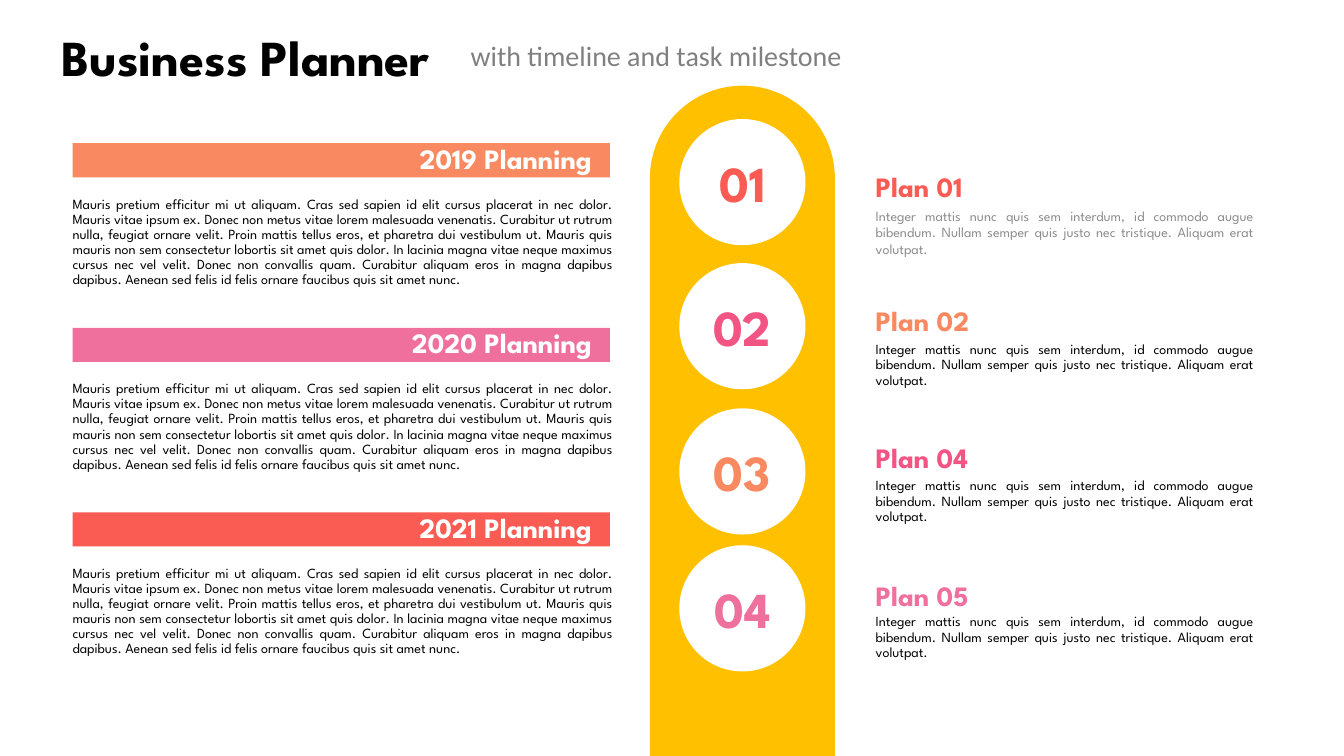
from pptx import Presentation
from pptx.dml.color import RGBColor
from pptx.enum.shapes import MSO_SHAPE
from pptx.enum.text import MSO_ANCHOR, PP_ALIGN
from pptx.util import Cm, Pt

BLACK = RGBColor(0x00, 0x00, 0x00)
WHITE = RGBColor(0xFF, 0xFF, 0xFF)
GRAY = RGBColor(0x80, 0x80, 0x80)
SILVER = RGBColor(0x8C, 0x8C, 0x8C)
GOLD = RGBColor(0xFF, 0xC0, 0x00)
RED = RGBColor(0xFA, 0x5B, 0x52)
CORAL = RGBColor(0xF8, 0x89, 0x60)
PINK = RGBColor(0xEF, 0x70, 0x9D)
ROSE = RGBColor(0xF2, 0x54, 0x84)

YEARS = [("2019 Planning", CORAL), ("2020 Planning", PINK), ("2021 Planning", RED)]
STEPS = [("01", RED, 0.84), ("02", ROSE, 4.47), ("03", CORAL, 8.13), ("04", PINK, 11.58)]
PLANS = [
    ("Plan 01", RED, 0),
    ("Plan 02", CORAL, 3.35),
    ("Plan 04", ROSE, 6.8),
    ("Plan 05", PINK, 10.28),
]
YEAR_TEXT = (
    "Mauris pretium efficitur mi ut aliquam. Cras sed sapien id elit cursus placerat in nec dolor. "
    "Mauris vitae ipsum ex. Donec non metus vitae lorem malesuada venenatis. Curabitur ut rutrum "
    "nulla, feugiat ornare velit. Proin mattis tellus eros, et pharetra dui vestibulum ut. Mauris quis "
    "mauris non sem consectetur lobortis sit amet quis dolor. In lacinia magna vitae neque maximus "
    "cursus nec vel velit. Donec non convallis quam. Curabitur aliquam eros in magna dapibus "
    "dapibus. Aenean sed felis id felis ornare faucibus quis sit amet nunc."
)
PLAN_TEXT = (
    "Integer mattis nunc quis sem interdum, id commodo augue bibendum. "
    "Nullam semper quis justo nec tristique. Aliquam erat volutpat."
)


def write(shape, text, size=10, color=BLACK, bold=False, font="League Spartan",
          align=PP_ALIGN.LEFT, anchor=MSO_ANCHOR.MIDDLE, lead=None):
    """Put formatted text in a shape."""
    frame = shape.text_frame
    frame.word_wrap = True
    frame.vertical_anchor = anchor
    para = frame.paragraphs[0]
    para.alignment = align
    para.line_spacing = lead
    run = para.add_run()
    run.text = text
    run.font.name = font
    run.font.size = Pt(size)
    run.font.bold = bold
    run.font.color.rgb = color


def label(slide, box, text, **style):
    """Add a text box at a box in centimetres."""
    write(slide.shapes.add_textbox(*map(Cm, box)), text, **style)


def block(slide, kind, box, color):
    """Add a flat filled shape at a box in centimetres."""
    shape = slide.shapes.add_shape(kind, *map(Cm, box))
    shape.shadow.inherit = False
    shape.fill.solid()
    shape.fill.fore_color.rgb = color
    shape.line.fill.background()
    return shape


def header(slide, left, top):
    """Place the title and its subtitle."""
    label(slide, (left, top, 10.77, 1.52), "Business Planner", size=36, bold=True,
          align=PP_ALIGN.CENTER)
    label(slide, (left + 10.8, top + 0.18, 11.94, 1.12), "with timeline and task milestone",
          size=20, color=GRAY, font="Calibri")


def years(slide, left, top, width):
    """Stack the yearly banners with their text."""
    for i, (name, color) in enumerate(YEARS):
        y = top + i * 4.65
        bar = block(slide, MSO_SHAPE.RECTANGLE, (left, y, width, 0.86), color)
        bar.text_frame.margin_right = Cm(0.45)
        write(bar, name, size=20, color=WHITE, bold=True, align=PP_ALIGN.RIGHT, lead=0.9)
        label(slide, (left - 0.25, y + 1.23, width + 0.56, 3.25), YEAR_TEXT,
              align=PP_ALIGN.JUSTIFY, anchor=MSO_ANCHOR.TOP, lead=0.9)


def track(slide, left, top, width, height):
    """Draw the rounded column with its numbered circles."""
    column = block(slide, MSO_SHAPE.ROUND_2_SAME_RECTANGLE, (left, top, width, height), GOLD)
    column.adjustments[0] = 0.5
    column.adjustments[1] = 0
    size = 3.18
    for number, color, drop in STEPS:
        x = left + (width - size) / 2
        disc = block(slide, MSO_SHAPE.OVAL, (x, top + drop, size, size), WHITE)
        write(disc, number, size=36, color=color, bold=True, align=PP_ALIGN.CENTER)


def plans(slide, left, top, width):
    """List the plans with their text."""
    for i, (name, color, drop) in enumerate(PLANS):
        first = i == 0
        style = {
            "anchor": MSO_ANCHOR.MIDDLE if first else MSO_ANCHOR.TOP,
            "lead": None if first else 0.9,
        }
        label(slide, (left, top + drop, width, 0.86), name, size=20, color=color, bold=True,
              **style)
        label(slide, (left, top + 0.81 + i * 3.43, width, 1.55), PLAN_TEXT,
              color=SILVER if first else BLACK, align=PP_ALIGN.JUSTIFY, **style)


def main():
    """Build and save the planner slide."""
    deck = Presentation()
    deck.slide_width = Cm(33.87)
    deck.slide_height = Cm(19.05)
    slide = deck.slides.add_slide(deck.slide_layouts[6])
    header(slide, 0.81, 0.66)
    plans(slide, 21.82, 4.27, 10.01)
    years(slide, 1.83, 3.61, 13.54)
    track(slide, 16.38, 2.16, 4.66, 16.89)
    deck.save("out.pptx")


if __name__ == "__main__":
    main()
